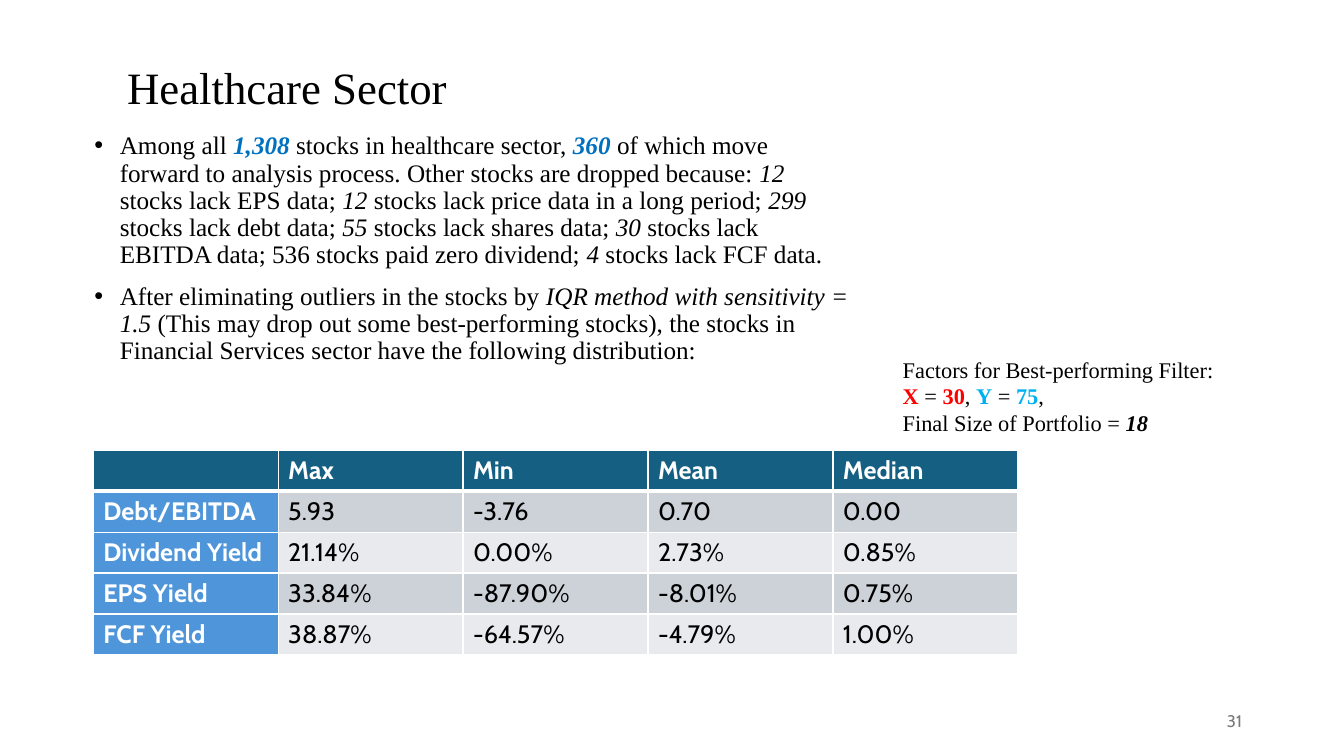
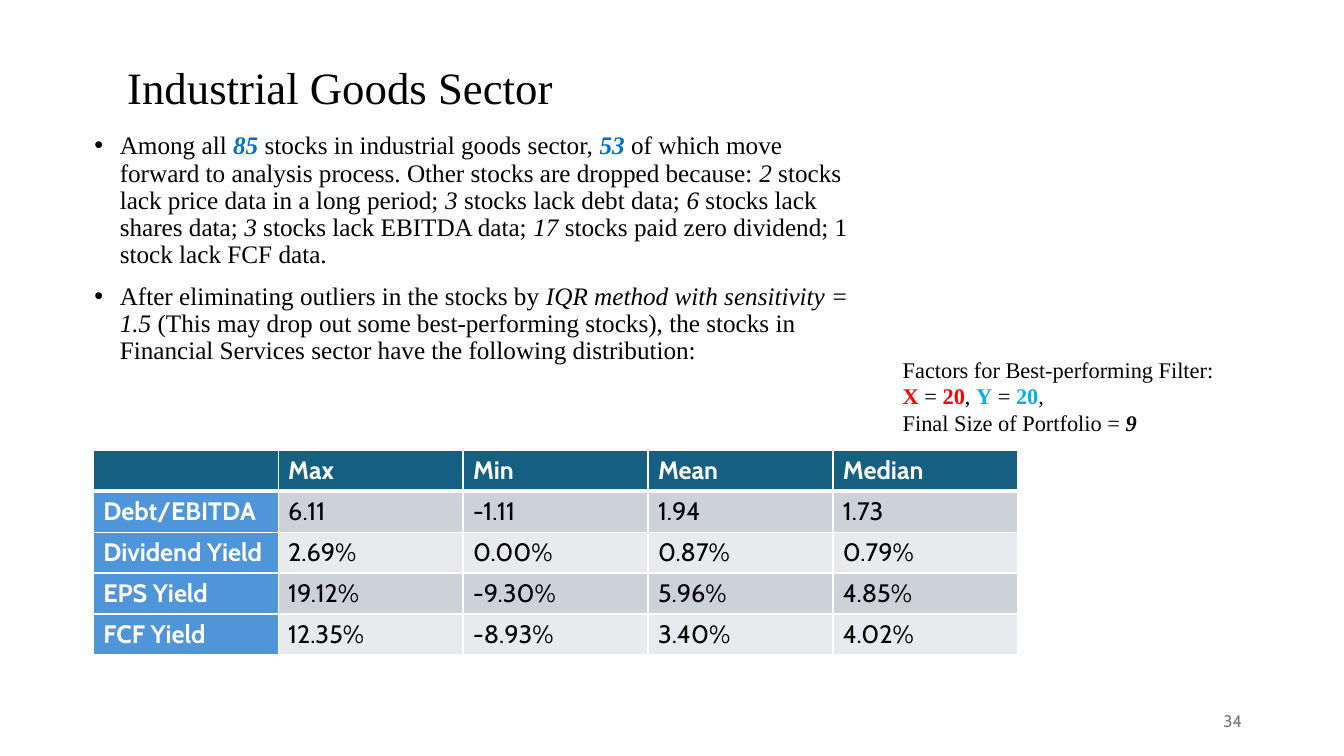
from dataclasses import dataclass
from typing import Any, NamedTuple

from lxml import etree
from pptx import Presentation
from pptx.dml.color import RGBColor
from pptx.enum.text import MSO_ANCHOR, PP_ALIGN
from pptx.oxml.ns import qn
from pptx.util import Cm, Pt

LEFT, RIGHT = PP_ALIGN.LEFT, PP_ALIGN.RIGHT
TOP, MIDDLE = MSO_ANCHOR.TOP, MSO_ANCHOR.MIDDLE
TITLE_ONLY = 5


@dataclass(frozen=True)
class Theme:
    serif: str = "Times New Roman"
    sans: str = "Cabin"
    title_size: int = 32
    body_size: int = 18
    factor_size: int = 16
    number_size: int = 12
    black: str = "000000"
    white: str = "FFFFFF"
    gray: str = "797979"
    key: str = "0070C0"
    x: str = "FF0000"
    y: str = "00B0F0"
    header: str = "156082"
    row_label: str = "4E95D9"
    bands: tuple[str, str] = ("CCD2D8", "E8EAED")


class Box(NamedTuple):
    left: float
    top: float
    width: float
    height: float

    def lengths(self) -> list[Cm]:
        return [Cm(value) for value in self]


class Run(NamedTuple):
    text: str
    color: str = ""
    bold: bool = False
    italic: bool = False


Line = list[Run]


@dataclass(frozen=True)
class Sector:
    title: str
    number: int
    screening: Line
    x: int
    y: int
    portfolio: int
    rows: list[list[str]]


THEME = Theme()
TITLE_BOX = Box(2.95, 0.38, 12.45, 3.76)
BODY_BOX = Box(2.13, 3.23, 19.63, 7.49)
FACTOR_BOX = Box(22.5, 8.84, 9.04, 2.31)
NUMBER_BOX = Box(23.93, 17.65, 7.62, 1.02)
TABLE_LEFT, TABLE_TOP = 2.35, 11.35
COLUMN_WIDTH, ROW_HEIGHT = 4.66, 1.03
BULLET_INDENT = 0.64
THIN, THICK = 1, 3
HEADINGS = ["", "Max", "Min", "Mean", "Median"]


def key(text: str) -> Run:
    return Run(text, THEME.key, bold=True, italic=True)


def italic(text: str) -> Run:
    return Run(text, italic=True)


OUTLIERS = [
    Run("After eliminating outliers in the stocks by "),
    italic("IQR method with sensitivity = 1.5 "),
    Run("(This may drop out some best-performing stocks), the stocks in "
        "Financial Services sector have the following distribution:"),
]
FORWARD = Run(" of which move forward to analysis process. "
              "Other stocks are dropped because: ")

SECTORS = [
    Sector(
        "Healthcare Sector", 31,
        [Run("Among all "), key("1,308"), Run(" stocks in healthcare sector, "),
         key("360"), FORWARD,
         italic("12"), Run(" stocks lack EPS data; "),
         italic("12"), Run(" stocks lack price data in a long period; "),
         italic("299"), Run(" stocks lack debt data; "),
         italic("55"), Run(" stocks lack shares data; "),
         italic("30"),
         Run(" stocks lack EBITDA data; 536 stocks paid zero dividend; "),
         italic("4"), Run(" stocks lack FCF data.")],
        30, 75, 18,
        [["Debt/EBITDA", "5.93", "-3.76", "0.70", "0.00"],
         ["Dividend Yield", "21.14%", "0.00%", "2.73%", "0.85%"],
         ["EPS Yield", "33.84%", "-87.90%", "-8.01%", "0.75%"],
         ["FCF Yield", "38.87%", "-64.57%", "-4.79%", "1.00%"]],
    ),
    Sector(
        "Industrial Goods Sector", 34,
        [Run("Among all "), key("85"), Run(" stocks in industrial goods sector, "),
         key("53"), FORWARD,
         italic("2"), Run(" stocks lack price data in a long period; "),
         italic("3"), Run(" stocks lack debt data; "),
         italic("6"), Run(" stocks lack shares data; "),
         italic("3"), Run(" stocks lack EBITDA data; "),
         italic("17"),
         Run(" stocks paid zero dividend; 1 stock lack FCF data.")],
        20, 20, 9,
        [["Debt/EBITDA", "6.11", "-1.11", "1.94", "1.73"],
         ["Dividend Yield", "2.69%", "0.00%", "0.87%", "0.79%"],
         ["EPS Yield", "19.12%", "-9.30%", "5.96%", "4.85%"],
         ["FCF Yield", "12.35%", "-8.93%", "3.40%", "4.02%"]],
    ),
]


def add_runs(p: Any, line: Line, size: int, font_name: str,
             color: str = THEME.black) -> None:
    for run in line:
        r = p.add_run()
        r.text = run.text
        r.font.color.rgb = RGBColor.from_string(run.color or color)
        formats = {"name": font_name, "size": Pt(size),
                   "bold": run.bold, "italic": run.italic}
        for name, value in formats.items():
            setattr(r.font, name, value)


def add_bullet(p: Any) -> None:
    """Give the paragraph a round bullet with a hanging indent."""
    pPr = p._p.get_or_add_pPr()
    indent = Cm(BULLET_INDENT)
    pPr.set("marL", str(indent))
    pPr.set("indent", str(-indent))
    etree.SubElement(pPr, qn("a:buFont"), typeface="Arial")
    etree.SubElement(pPr, qn("a:buChar"), char="•")


def add_text(slide: Any, box: Box, lines: list[Line], size: int,
             font_name: str = THEME.serif, color: str = THEME.black,
             align: Any = LEFT, anchor: Any = TOP, bullets: bool = False) -> None:
    tf = slide.shapes.add_textbox(*box.lengths()).text_frame
    tf.word_wrap = True
    tf.vertical_anchor = anchor
    for index, line in enumerate(lines):
        p = tf.add_paragraph() if index else tf.paragraphs[0]
        p.alignment = align
        if bullets:
            add_bullet(p)
            p.line_spacing = 0.9
            p.space_before = Pt(10 if index else 0)
        add_runs(p, line, size, font_name, color)


def set_title(slide: Any, text: str) -> None:
    sp = slide.shapes.title
    sp.left, sp.top, sp.width, sp.height = TITLE_BOX.lengths()
    tf = sp.text_frame
    tf.word_wrap = True
    tf.vertical_anchor = MIDDLE
    p = tf.paragraphs[0]
    p.alignment = LEFT
    p.line_spacing = 0.9
    add_runs(p, [Run(text)], THEME.title_size, THEME.serif)


def set_borders(cell: Any, top: int, bottom: int) -> None:
    tcPr = cell._tc.get_or_add_tcPr()
    for side, width in zip("LRTB", (THIN, THIN, top, bottom)):
        ln = etree.SubElement(tcPr, qn(f"a:ln{side}"), w=str(Pt(width)))
        fill = etree.SubElement(ln, qn("a:solidFill"))
        etree.SubElement(fill, qn("a:srgbClr"), val=THEME.white)


def add_distribution(slide: Any, rows: list[list[str]]) -> None:
    grid = [HEADINGS, *rows]
    box = Box(TABLE_LEFT, TABLE_TOP,
              COLUMN_WIDTH * len(HEADINGS), ROW_HEIGHT * len(grid))
    table = slide.shapes.add_table(
        len(grid), len(HEADINGS), *box.lengths()).table
    for column in table.columns:
        column.width = Cm(COLUMN_WIDTH)
    for i, values in enumerate(grid):
        table.rows[i].height = Cm(ROW_HEIGHT)
        for j, value in enumerate(values):
            cell = table.cell(i, j)
            set_borders(cell, THICK if i == 1 else THIN, THIN if i else THICK)
            if i == 0:
                fill = THEME.header
            elif j == 0:
                fill = THEME.row_label
            else:
                fill = THEME.bands[(i - 1) % 2]
            cell.fill.solid()
            cell.fill.fore_color.rgb = RGBColor.from_string(fill)
            if value:
                label = i == 0 or j == 0
                add_runs(cell.text_frame.paragraphs[0], [Run(value, bold=label)],
                         THEME.body_size, THEME.sans,
                         THEME.white if label else THEME.black)


def factor_lines(sector: Sector) -> list[Line]:
    return [
        [Run("Factors for Best-performing Filter:")],
        [Run("X", THEME.x, True), Run(" = "), Run(str(sector.x), THEME.x, True),
         Run(", "),
         Run("Y", THEME.y, True), Run(" = "), Run(str(sector.y), THEME.y, True),
         Run(",")],
        [Run("Final Size of Portfolio = "),
         Run(str(sector.portfolio), bold=True, italic=True)],
    ]


def add_sector(prs: Any, sector: Sector) -> None:
    slide = prs.slides.add_slide(prs.slide_layouts[TITLE_ONLY])
    set_title(slide, sector.title)
    add_text(slide, BODY_BOX, [sector.screening, OUTLIERS], THEME.body_size,
             bullets=True)
    add_text(slide, NUMBER_BOX, [[Run(str(sector.number))]], THEME.number_size,
             THEME.sans, THEME.gray, RIGHT, MIDDLE)
    add_distribution(slide, sector.rows)
    add_text(slide, FACTOR_BOX, factor_lines(sector), THEME.factor_size)


def main() -> None:
    prs = Presentation()
    prs.slide_width, prs.slide_height = Cm(33.87), Cm(19.05)
    for sector in SECTORS:
        add_sector(prs, sector)
    prs.save("out.pptx")


if __name__ == "__main__":
    main()
